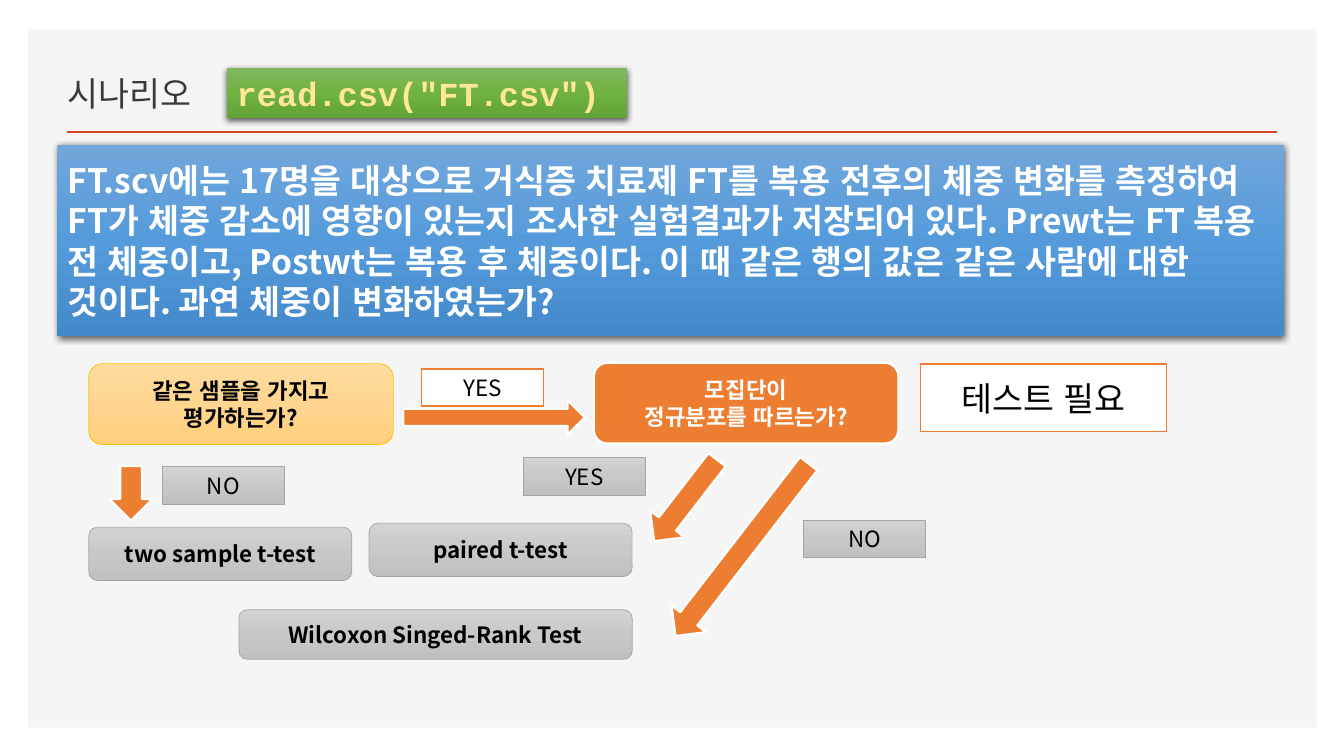
"""Build the scenario slide with a decision flow for choosing a weight-change test."""
import copy
import pptx
import pptx.util
import pptx.dml.color
import pptx.enum.dml
import pptx.enum.lang
import pptx.enum.shapes
import pptx.enum.text
import pptx.oxml
import pptx.oxml.ns
from dataclasses import dataclass

HEADING = "시나리오"
CODE = 'read.csv("FT.csv")'
SCENARIO = (
    "FT.scv에는 17명을 대상으로 거식증 치료제 FT를 복용 전후의 체중 변화를 측정하여 "
    "FT가 체중 감소에 영향이 있는지 조사한 실험결과가 저장되어 있다. "
    "Prewt는 FT 복용 전 체중이고, Postwt는 복용 후 체중이다. "
    "이 때 같은 행의 값은 같은 사람에 대한 것이다. 과연 체중이 변화하였는가?"
)
QUESTIONS = [
    (["모집단이", "정규분포를 따르는가?"], (589, 360), "orange"),
    (["같은 샘플을 가지고 평가하는가?"], (88, 361), "yellow"),
]
TESTS = [
    ("paired t-test", (366, 519, 261, 53)),
    ("two sample t-test", (88, 523, 261, 53)),
    ("Wilcoxon Singed-Rank Test", (237, 605, 390, 49)),
]
ARROWS = [
    ((400, 397, 180, 34), 0),
    ((629, 475, 102, 43), 127.7),
    ((628, 524, 216, 43), 127.7),
    ((103, 468, 54, 43), 90),
]
ANSWERS = [
    ("YES", (418, 366), "white"),
    ("YES", (519, 454), "gray"),
    ("NO", (797, 516), "gray"),
    ("NO", (161, 463), "gray"),
]
NOTICE = "테스트 필요"
QUESTION_SIZE = (302, 80)
ANSWER_SIZE = (121, 37)


@dataclass(frozen=True)
class Look:
    fills: tuple
    ink: str
    line: str = ""
    width: float = 0


@dataclass(frozen=True)
class Theme:
    backdrop = Look(("F5F5F5",), "000000")
    blue = Look(("71A6DB", "559BDB", "448ACA"), "FFFFFF")
    green = Look(("81B861", "6FB242", "62A336"), "FFE699")
    orange = Look(("ED7D31",), "FFFFFF", "FFFFFF", 1.5)
    yellow = Look(("FFDB9E", "FFD590", "FFD07C"), "000000", "FFC000", 0.5)
    white = Look(("FFFFFF",), "000000", "ED7D31", 1)
    gray = Look(("D2D2D2", "C8C8C8", "C0C0C0"), "000000", "A5A5A5", 0.5)
    rule = "D24726"
    heading_ink = "3B3838"
    heading_font = "Cabin"
    code_font = "Courier New"
    font = "Noto Sans CJK KR"
    large = 24
    small = 16


THEME = Theme()
PRESET = pptx.enum.shapes.MSO_SHAPE
ALIGN = pptx.enum.text.PP_ALIGN
ANCHOR = pptx.enum.text.MSO_ANCHOR
DRAWING = pptx.oxml.ns.nsdecls("a")
SHADOW = (
    f'<a:outerShdw {DRAWING} blurRad="57150" dist="19050" dir="5400000" algn="ctr" rotWithShape="0">'
    '<a:srgbClr val="000000"><a:alpha val="63000"/></a:srgbClr></a:outerShdw>'
)


def px(*lengths):
    return [pptx.util.Emu(length * 9144) for length in lengths]


def color(code):
    return pptx.dml.color.RGBColor.from_string(code)


def write(box, lines, ink, size, font=THEME.font, bold=False, align=ALIGN.CENTER, anchor=ANCHOR.MIDDLE):
    frame = box.text_frame
    frame.word_wrap = True
    frame.vertical_anchor = anchor
    for number, line in enumerate(lines):
        para = frame.add_paragraph() if number else frame.paragraphs[0]
        para.alignment = align
        span = para.add_run()
        span.text = line
        span.font.name = font
        span.font.size = pptx.util.Pt(size)
        span.font.bold = bold
        span.font.color.rgb = color(ink)
        span.font.language_id = pptx.enum.lang.MSO_LANGUAGE_ID.KOREAN
        latin = span.font._element.find(pptx.oxml.ns.qn("a:latin"))
        latin.addnext(pptx.oxml.parse_xml(f'<a:ea {DRAWING} typeface="{THEME.font}"/>'))


def paint(box, fills):
    if len(fills) == 1:
        box.fill.solid()
        box.fill.fore_color.rgb = color(fills[0])
        return
    box.fill.gradient()
    box.fill.gradient_angle = 270
    first = next(box._element.iter(pptx.oxml.ns.qn("a:gs")))
    first.addnext(copy.deepcopy(first))
    for number, (stop, code) in enumerate(zip(box.fill.gradient_stops, fills)):
        stop.position = number / (len(fills) - 1)
        stop.color.rgb = color(code)


def add_box(page, preset, place, look, shadow=False):
    box = page.shapes.add_shape(preset, *px(*place))
    paint(box, look.fills)
    if look.line:
        box.line.color.rgb = color(look.line)
        box.line.width = pptx.util.Pt(look.width)
    else:
        box.line.fill.background()
    box.shadow.inherit = False
    if shadow:
        effects = box._element.spPr.find(pptx.oxml.ns.qn("a:effectLst"))
        effects.append(pptx.oxml.parse_xml(SHADOW))
    return box


def add_header(page):
    title = page.shapes.title
    backdrop = add_box(page, PRESET.RECTANGLE, (28, 29, 1278, 693), THEME.backdrop)
    title._element.addprevious(backdrop._element)
    title.left, title.top, title.width, title.height = px(57, 48, 893, 70)
    write(title, [HEADING], THEME.heading_ink, THEME.large, THEME.heading_font,
          align=ALIGN.LEFT, anchor=ANCHOR.BOTTOM)
    title.text_frame.auto_size = pptx.enum.text.MSO_AUTO_SIZE.NONE
    title.text_frame.paragraphs[0].line_spacing = 0.9
    rule = page.shapes.add_connector(pptx.enum.shapes.MSO_CONNECTOR.STRAIGHT, *px(66, 131, 1267, 131))
    rule.line.color.rgb = color(THEME.rule)
    rule.line.width = pptx.util.Pt(2)
    rule._element.spPr.append(pptx.oxml.parse_xml(f"<a:effectLst {DRAWING}/>"))
    scenario = add_box(page, PRESET.RECTANGLE, (57, 144, 1217, 189), THEME.blue, shadow=True)
    write(scenario, [SCENARIO], THEME.blue.ink, THEME.large, bold=True, align=ALIGN.LEFT)
    code = add_box(page, PRESET.RECTANGLE, (225, 67, 397, 50), THEME.green, shadow=True)
    write(code, [CODE], THEME.green.ink, THEME.large, THEME.code_font, True, ALIGN.LEFT, ANCHOR.TOP)


def add_flow(page):
    rounded = PRESET.FLOWCHART_ALTERNATE_PROCESS
    for lines, corner, name in QUESTIONS:
        look = getattr(THEME, name)
        write(add_box(page, rounded, corner + QUESTION_SIZE, look), lines, look.ink, THEME.small, bold=True)
    for place, angle in ARROWS:
        add_box(page, PRESET.RIGHT_ARROW, place, THEME.orange).rotation = angle
    for label, corner, name in ANSWERS:
        look = getattr(THEME, name)
        write(add_box(page, PRESET.RECTANGLE, corner + ANSWER_SIZE, look), [label], look.ink, THEME.small)
    for label, place in TESTS:
        write(add_box(page, rounded, place, THEME.gray), [label], THEME.gray.ink, THEME.small, bold=True)
    notice = add_box(page, PRESET.RECTANGLE, (913, 361, 244, 67), THEME.white)
    write(notice, [NOTICE], THEME.white.ink, THEME.large)


def main():
    deck = pptx.Presentation()
    deck.slide_width, deck.slide_height = px(1333, 750)
    page = deck.slides.add_slide(deck.slide_layouts[5])
    add_header(page)
    add_flow(page)
    deck.save("out.pptx")


if __name__ == "__main__":
    main()
